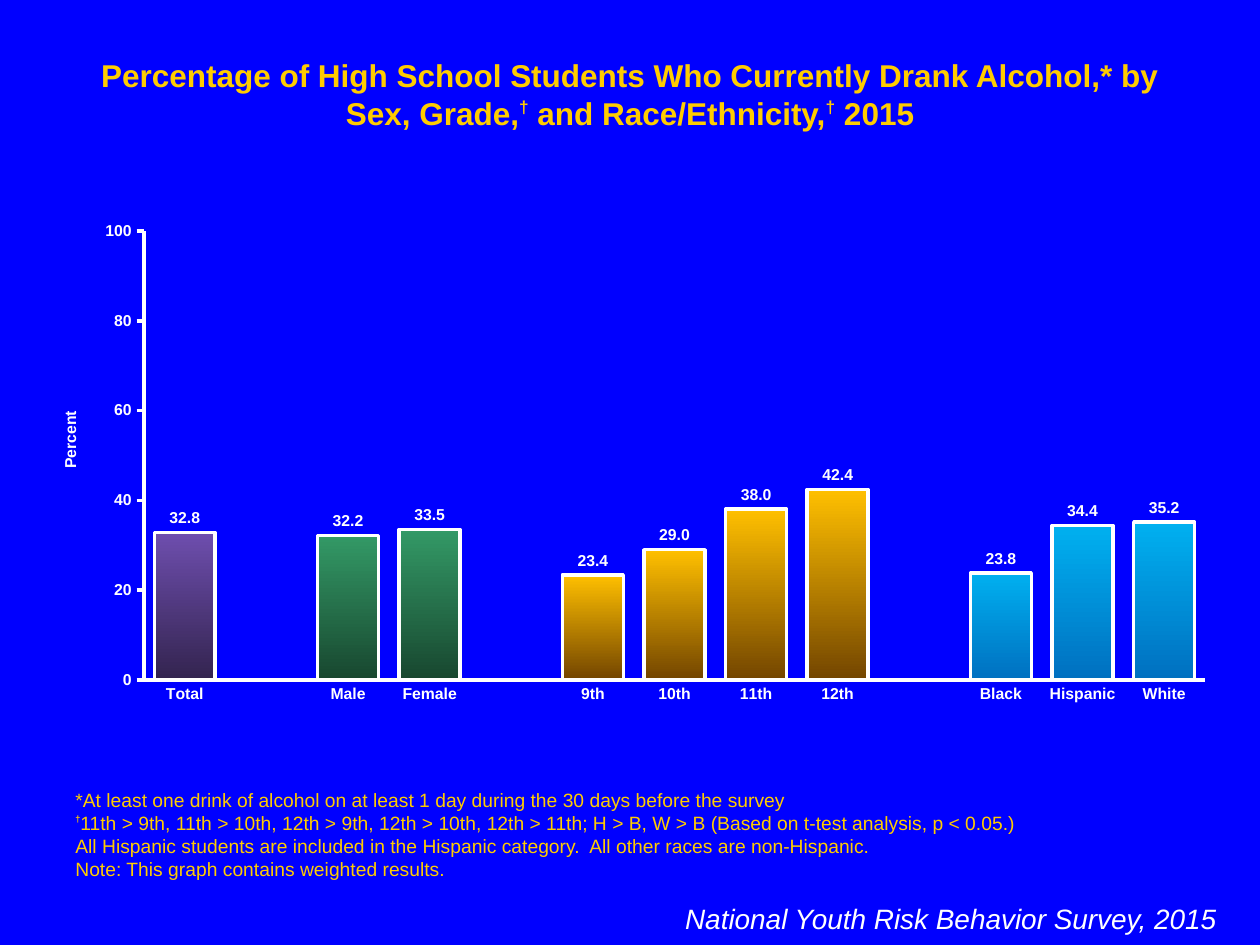
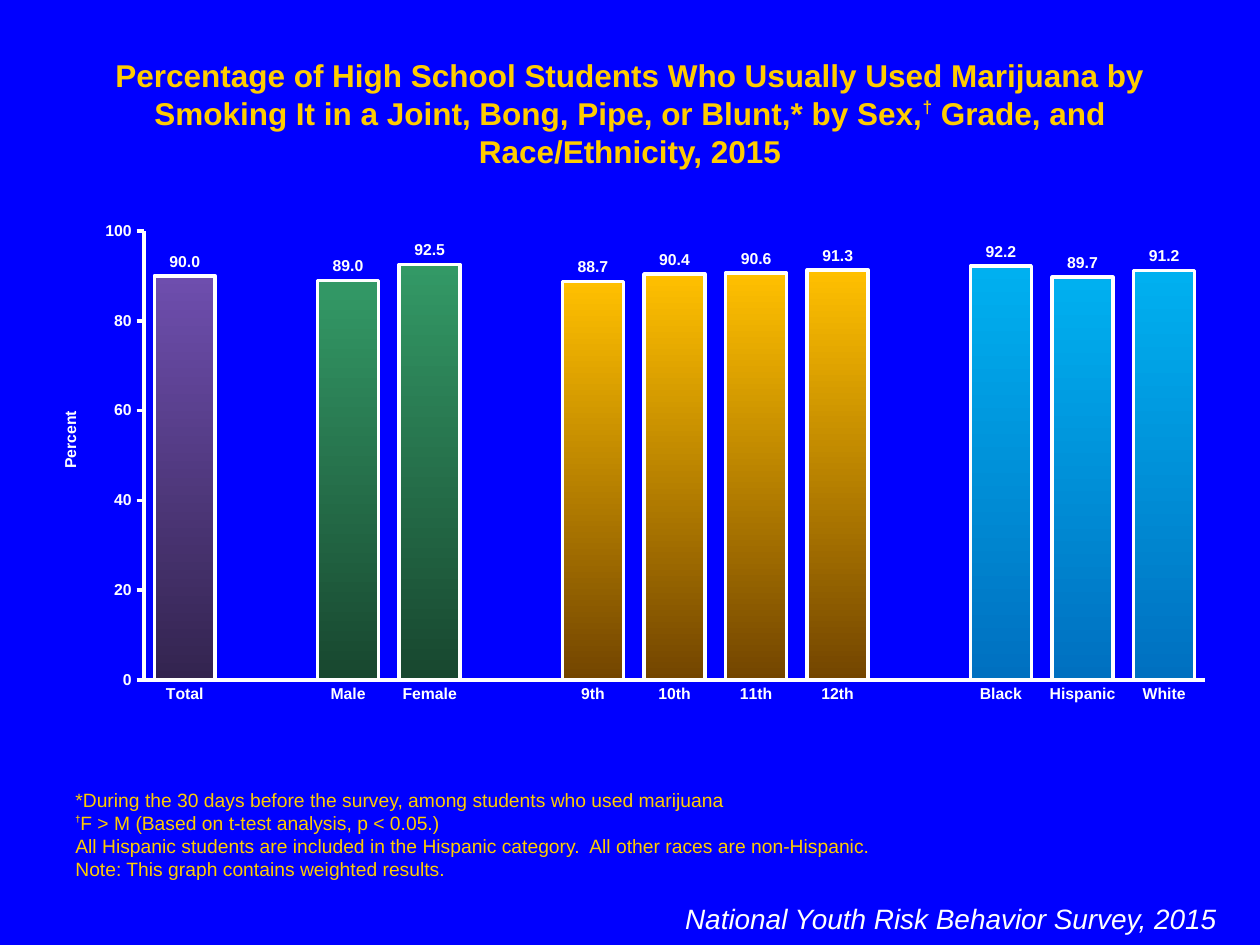
from pptx import Presentation
from pptx.chart.data import CategoryChartData
from pptx.dml.color import RGBColor
from pptx.enum.chart import XL_CHART_TYPE, XL_LABEL_POSITION, XL_TICK_MARK
from pptx.enum.text import MSO_ANCHOR, MSO_AUTO_SIZE, PP_ALIGN
from pptx.oxml import parse_xml
from pptx.oxml.ns import nsdecls
from pptx.util import Emu, Pt

COLUMN = XL_CHART_TYPE.COLUMN_CLUSTERED
OUTSIDE_END = XL_LABEL_POSITION.OUTSIDE_END
TICK_NONE, TICK_OUTSIDE = XL_TICK_MARK.NONE, XL_TICK_MARK.OUTSIDE
TOP, BOTTOM = MSO_ANCHOR.TOP, MSO_ANCHOR.BOTTOM
GROW = MSO_AUTO_SIZE.SHAPE_TO_FIT_TEXT
LEFT, CENTER, RIGHT = PP_ALIGN.LEFT, PP_ALIGN.CENTER, PP_ALIGN.RIGHT

FONT = "Arial"
DAGGER = "†"
COLORS = {"background": "0000FF", "heading": "FFCC00", "light": "FFFFFF"}

GROUPS = [
    (["Total"], ("6E4EAE", "33244F")),
    (["Male", "Female"], ("339966", "18472F")),
    (["9th", "10th", "11th", "12th"], ("FFC000", "734500")),
    (["Black", "Hispanic", "White"], ("00B0F0", "0070C0")),
]
SURVEY = "National Youth Risk Behavior Survey, 2015"
COMMON_NOTES = [
    "All Hispanic students are included in the Hispanic category.  All other races are non-Hispanic.",
    "Note: This graph contains weighted results.",
]
SLIDES = [
    {
        "title": "Percentage of High School Students Who Currently Drank Alcohol,* by "
                 "Sex, Grade,† and Race/Ethnicity,† 2015",
        "values": [[32.8], [32.2, 33.5], [23.4, 29.0, 38.0, 42.4], [23.8, 34.4, 35.2]],
        "notes": [
            "*At least one drink of alcohol on at least 1 day during the 30 days before the survey",
            "†11th > 9th, 11th > 10th, 12th > 9th, 12th > 10th, 12th > 11th; "
            "H > B, W > B (Based on t-test analysis, p < 0.05.)",
        ],
    },
    {
        "title": "Percentage of High School Students Who Usually Used Marijuana by "
                 "Smoking It in a Joint, Bong, Pipe, or Blunt,* by Sex,† Grade, and "
                 "Race/Ethnicity, 2015",
        "values": [[90.0], [89.0, 92.5], [88.7, 90.4, 90.6, 91.3], [92.2, 89.7, 91.2]],
        "notes": [
            "*During the 30 days before the survey, among students who used marijuana",
            "†F > M (Based on t-test analysis, p < 0.05.)",
        ],
    },
]

SLIDE_SIZE = (1260, 945)
TITLE_BOX = (63, 50, 1134, 50)
NOTES_BOX = (63, 850, 1134, 37)
SURVEY_BOX = (536, 895, 693, 81)
CHART_BOX = (32, 213, 1197, 501)
PLOT_BOX = (144, 231, 1061, 449)
AXIS_TITLE_AT = (57, 408)


def px(length):
    return Emu(round(length * 914400 / 126))


def rgb(color):
    return RGBColor.from_string(color)


def style_font(font, size, color, bold=False, italic=False):
    font.name, font.size, font.bold, font.italic = FONT, Pt(size), bold, italic
    font.color.rgb = rgb(color)


def white_line(line):
    line.color.rgb = rgb(COLORS["light"])
    line.width = Pt(2)


def add_runs(paragraph, text, dagger):
    size, bold, raised = dagger
    for index, part in enumerate(text.split(DAGGER)):
        if index:
            run = paragraph.add_run()
            run.text = DAGGER
            run.font.size, run.font.bold = Pt(size), bold
            run.font._element.set("baseline", str(raised * 1000))
        if part:
            paragraph.add_run().text = part


def add_text(slide, box, lines, size, color, align=LEFT, anchor=TOP,
             bold=False, italic=False, dagger=(9, True, 50)):
    frame = slide.shapes.add_textbox(*map(px, box)).text_frame
    frame.word_wrap = True
    frame.auto_size = GROW
    frame.vertical_anchor = anchor
    for index, line in enumerate(lines):
        paragraph = frame.add_paragraph() if index else frame.paragraphs[0]
        paragraph.alignment = align
        style_font(paragraph.font, size, color, bold, italic)
        add_runs(paragraph, line, dagger)


def layout_xml(left, top, width=None, height=None):
    chart_left, chart_top, chart_width, chart_height = CHART_BOX
    parts = {"x": (left - chart_left) / chart_width, "y": (top - chart_top) / chart_height}
    target = ""
    if width:
        target = '<c:layoutTarget val="inner"/>'
        parts.update(w=width / chart_width, h=height / chart_height)
    modes = "".join(f'<c:{key}Mode val="edge"/>' for key in ("x", "y"))
    sizes = "".join(f'<c:{key} val="{value:.4f}"/>' for key, value in parts.items())
    return parse_xml(f'<c:layout {nsdecls("c")}><c:manualLayout>{target}{modes}{sizes}'
                     "</c:manualLayout></c:layout>")


def place(element, after, layout):
    for old in element.findall(layout.tag):
        element.remove(old)
    if after is None:
        element.insert(0, layout)
    else:
        after.addnext(layout)


def chart_columns(group_values):
    columns = []
    for (labels, gradient), values in zip(GROUPS, group_values):
        if columns:
            columns.append(("", None, None))
        columns += [(label, value, gradient) for label, value in zip(labels, values)]
    return columns


def style_axes(chart):
    for axis, tick in ((chart.category_axis, TICK_NONE), (chart.value_axis, TICK_OUTSIDE)):
        axis.has_major_gridlines = False
        axis.major_tick_mark, axis.minor_tick_mark = tick, TICK_NONE
        style_font(axis.tick_labels.font, 9, COLORS["light"], bold=True)
        white_line(axis.format.line)
    percent = chart.value_axis
    percent.minimum_scale, percent.maximum_scale, percent.major_unit = 0, 100, 20
    percent.tick_labels.number_format = "General"
    percent.tick_labels.number_format_is_linked = False
    title = percent.axis_title
    title.text_frame.text = "Percent"
    style_font(title.text_frame.paragraphs[0].font, 9, COLORS["light"], bold=True)
    title.text_frame._txBody.bodyPr.set("rot", "-5400000")
    title.text_frame._txBody.bodyPr.set("vert", "horz")
    place(title._element, title._element.tx, layout_xml(*AXIS_TITLE_AT))


def add_percent_chart(slide, group_values):
    columns = chart_columns(group_values)
    data = CategoryChartData()
    data.categories = [label for label, _, _ in columns]
    data.add_series("Series 1", [value for _, value, _ in columns])
    chart = slide.shapes.add_chart(COLUMN, *map(px, CHART_BOX), data).chart
    chart.has_legend = chart.has_title = False
    style_font(chart.font, 18, COLORS["light"])
    style_axes(chart)
    place(chart._chartSpace.chart.plotArea, None, layout_xml(*PLOT_BOX))

    plot = chart.plots[0]
    plot.gap_width, plot.overlap, plot.vary_by_categories = 34, 100, False
    plot.has_data_labels = True
    labels = plot.data_labels
    labels.show_value = True
    labels.position = OUTSIDE_END
    labels.number_format, labels.number_format_is_linked = "#,##0.0", False
    style_font(labels.font, 9, COLORS["light"], bold=True)

    for index, (_, _, gradient) in enumerate(columns):
        if gradient:
            style = plot.series[0].points[index].format
            white_line(style.line)
            style.fill.gradient()
            style.fill.gradient_angle = 270
            for stop, color in zip(style.fill.gradient_stops, gradient):
                stop.color.rgb = rgb(color)


def main():
    presentation = Presentation()
    presentation.slide_width, presentation.slide_height = map(px, SLIDE_SIZE)
    background = presentation.slide_master.background.fill
    background.solid()
    background.fore_color.rgb = rgb(COLORS["background"])
    for content in SLIDES:
        slide = presentation.slides.add_slide(presentation.slide_layouts[6])
        add_text(slide, TITLE_BOX, [content["title"]], 18, COLORS["heading"],
                 align=CENTER, bold=True, dagger=(17, True, 40))
        add_text(slide, NOTES_BOX, content["notes"] + COMMON_NOTES, 11,
                 COLORS["heading"], anchor=BOTTOM)
        add_text(slide, SURVEY_BOX, [SURVEY], 16, COLORS["light"], align=RIGHT, italic=True)
        add_percent_chart(slide, content["values"])
    presentation.save("out.pptx")


if __name__ == "__main__":
    main()
